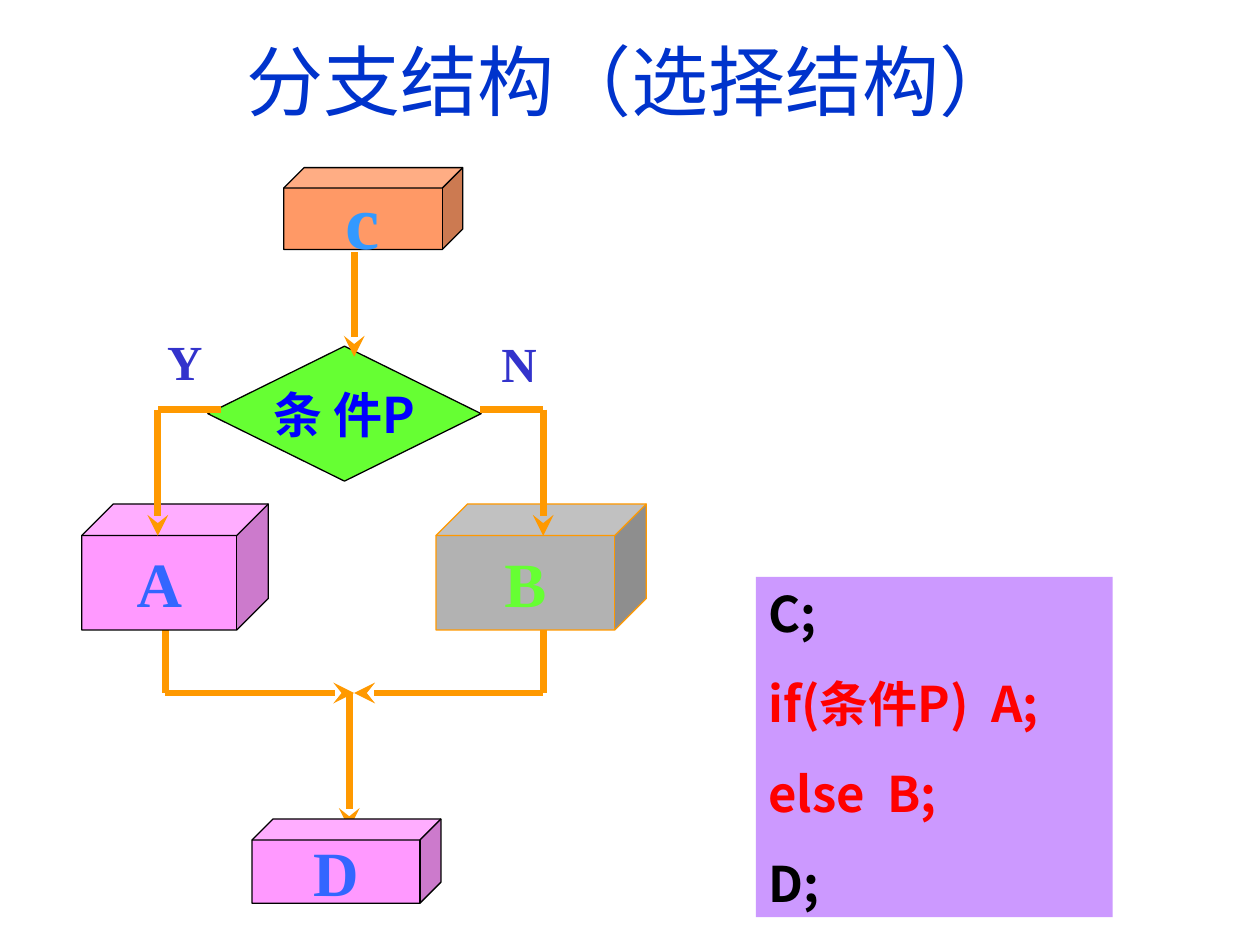
from lxml import etree
from pptx import Presentation
from pptx import util as u
from pptx.dml.color import RGBColor
from pptx.enum import shapes, text
from pptx.oxml.ns import qn

ORANGE = RGBColor(0xFF, 0x99, 0x00)
BLACK = RGBColor(0, 0, 0)
RED = RGBColor(0xFF, 0, 0)
PINK = RGBColor(0xFF, 0x99, 0xFF)
SALMON = RGBColor(0xFF, 0x99, 0x66)
GREY = RGBColor(0xB2, 0xB2, 0xB2)
GREEN = RGBColor(0x66, 0xFF, 0x33)
LILAC = RGBColor(0xCC, 0x99, 0xFF)
TITLE_BLUE = RGBColor(0x00, 0x33, 0xCC)
LABEL_BLUE = RGBColor(0x33, 0x33, 0xCC)
LETTER_BLUE = RGBColor(0x33, 0x66, 0xFF)
SKY = RGBColor(0x33, 0x99, 0xFF)
PURE_BLUE = RGBColor(0, 0, 0xFF)
SERIF, SANS = "Times New Roman", "Noto Sans CJK SC"

# Places are left, top, width, height in centimetres.
TITLE = ("分支结构（选择结构）", (1.9, 0.43, 21.67, 2.34))
BLOCKS = [  # text, place, fill, outline, text colour, text size
    ("B", (8.79, 10.16, 4.24, 2.54), GREY, ORANGE, GREEN, 36),
    ("A", (1.65, 10.16, 3.76, 2.54), PINK, BLACK, LETTER_BLUE, 36),
    ("c", (5.72, 3.38, 3.61, 1.65), SALMON, BLACK, SKY, 44),
    ("D", (5.08, 16.51, 3.81, 1.7), PINK, BLACK, LETTER_BLUE, 36),
]
CONDITION = ("条 件P", (4.19, 6.98, 5.51, 2.72))
BRANCH_LABELS = [("N", (9.86, 6.6, 1.22, 1.45)), ("Y", (3.12, 6.55, 1.22, 1.45))]
CODE_PLACE = (15.24, 11.63, 7.19, 6.86)
CODE = [("C;", BLACK), ("if(条件P)  A;", RED), ("else  B;", RED), ("D;", BLACK)]

# Each flow is a chain of points; its last segment carries the arrowhead.
MERGE_FLOWS = [
    [(7.04, 13.97), (7.04, 16.71)],
    [(10.95, 12.7), (10.95, 13.97), (7.14, 13.97)],
    [(3.33, 12.7), (3.33, 13.97), (7.14, 13.97)],
]
BRANCH_FLOWS = [
    [(7.14, 5.08), (7.14, 7.19)],
    [(9.68, 8.26), (10.95, 8.26), (10.95, 10.8)],
    [(4.45, 8.26), (3.18, 8.26), (3.18, 10.8)],
]


def cm(values):
    return [u.Cm(value) for value in values]


def write(box, lines, size, font=SERIF, bold=True, align=text.PP_ALIGN.CENTER,
          anchor=text.MSO_ANCHOR.MIDDLE, wrap=False, before=0, spacing=None):
    """Fill a box with (text, colour) lines and return the last run."""
    frame = box.text_frame
    frame.word_wrap = wrap
    frame.vertical_anchor = anchor
    for index, (words, colour) in enumerate(lines):
        para = frame.add_paragraph() if index else frame.paragraphs[0]
        para.alignment = align
        if index and before:
            para.space_before = u.Pt(before)
        if spacing:
            para.line_spacing = u.Pt(spacing)
        span = para.add_run()
        span.text = words
        span.font.size, span.font.bold, span.font.name = u.Pt(size), bold, font
        span.font.color.rgb = colour
        asian = etree.SubElement(span.font._element, qn("a:ea"))
        asian.set("typeface", SANS)
    return span


def add_text_shadow(span):
    effects = etree.Element(qn("a:effectLst"))
    shadow = etree.SubElement(effects, qn("a:outerShdw"), dist="25400", dir="2700000")
    etree.SubElement(shadow, qn("a:srgbClr"), val=str(BLACK))
    span.font._element.find(qn("a:latin")).addprevious(effects)


def add_box(page, kind, place, fill, outline=None):
    box = page.shapes.add_shape(kind, *cm(place))
    box.shadow.inherit = False
    box.fill.solid()
    box.fill.fore_color.rgb = fill
    if outline is None:
        box.line.fill.background()
    else:
        box.line.color.rgb = outline
        box.line.width = u.Pt(0.75)
    return box


def add_flow(page, points):
    for start, end in zip(points, points[1:]):
        line = page.shapes.add_connector(
            shapes.MSO_CONNECTOR.STRAIGHT, *cm(start + end))
        line.line.color.rgb = ORANGE
        line.line.width = u.Pt(4)
        etree.SubElement(line._element.spPr, qn("a:effectLst"))
    etree.SubElement(line.line._get_or_add_ln(), qn("a:tailEnd"), type="stealth")


def main():
    deck = Presentation()
    deck.slide_width, deck.slide_height = cm((25.4, 19.05))
    page = deck.slides.add_slide(deck.slide_layouts[6])

    words, place = TITLE
    title = page.shapes.add_textbox(*cm(place))
    add_text_shadow(write(title, [(words, TITLE_BLUE)], 44, bold=False, wrap=True))

    for flow in MERGE_FLOWS:
        add_flow(page, flow)
    for words, place, fill, outline, colour, size in BLOCKS:
        block = add_box(page, shapes.MSO_SHAPE.CUBE, place, fill, outline)
        write(block, [(words, colour)], size)

    words, place = CONDITION
    diamond = add_box(page, shapes.MSO_SHAPE.DIAMOND, place, GREEN, BLACK)
    write(diamond, [(words, PURE_BLUE)], 28, font=SANS)

    for words, place in BRANCH_LABELS:
        label = page.shapes.add_textbox(*cm(place))
        write(label, [(words, LABEL_BLUE)], 28, align=text.PP_ALIGN.LEFT,
              anchor=text.MSO_ANCHOR.TOP)
    for flow in BRANCH_FLOWS:
        add_flow(page, flow)

    code = add_box(page, shapes.MSO_SHAPE.RECTANGLE, CODE_PLACE, LILAC)
    write(code, CODE, 28, font=SANS, align=text.PP_ALIGN.LEFT,
          anchor=text.MSO_ANCHOR.TOP, wrap=True, before=17.5, spacing=34)

    deck.save("out.pptx")


if __name__ == "__main__":
    main()
